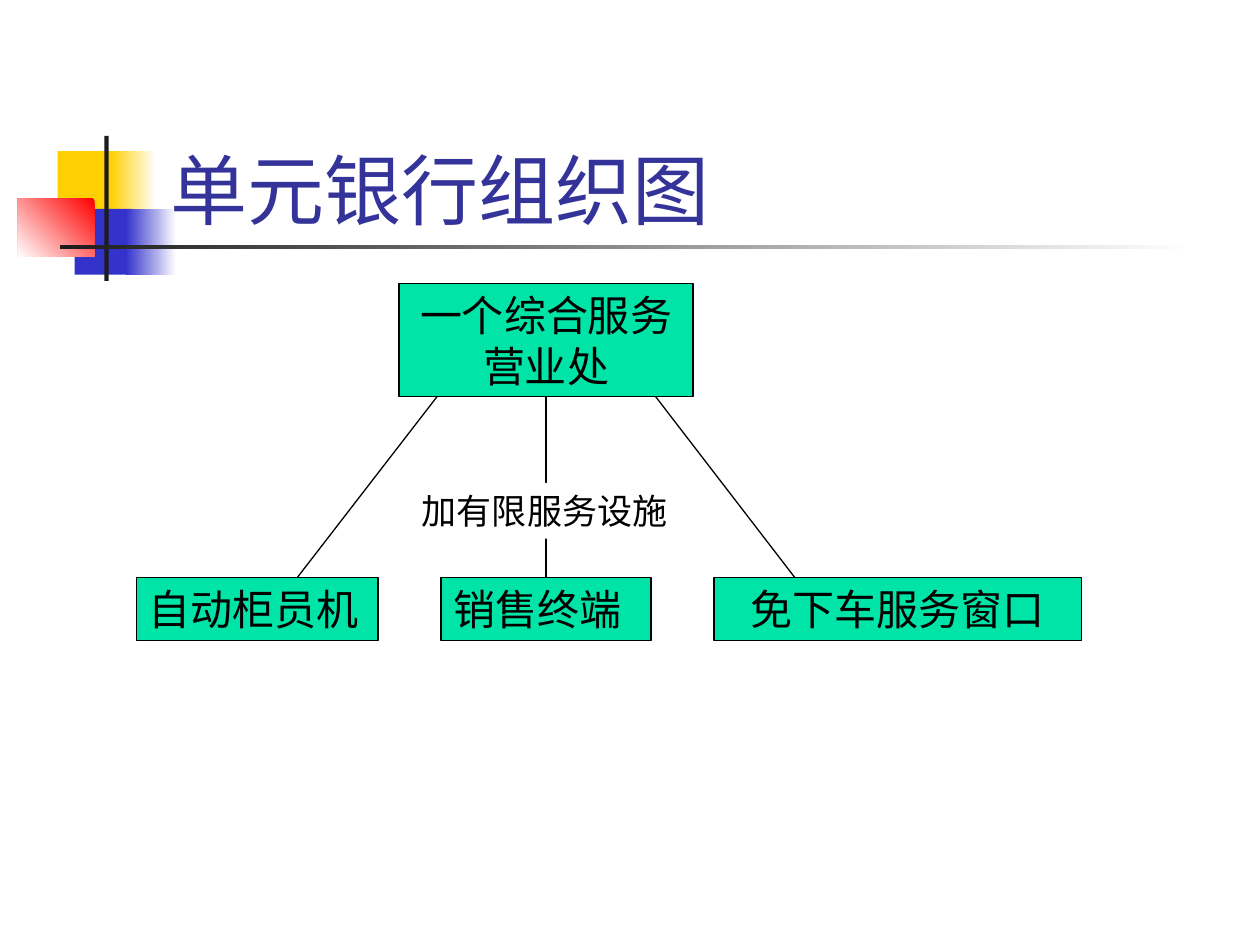
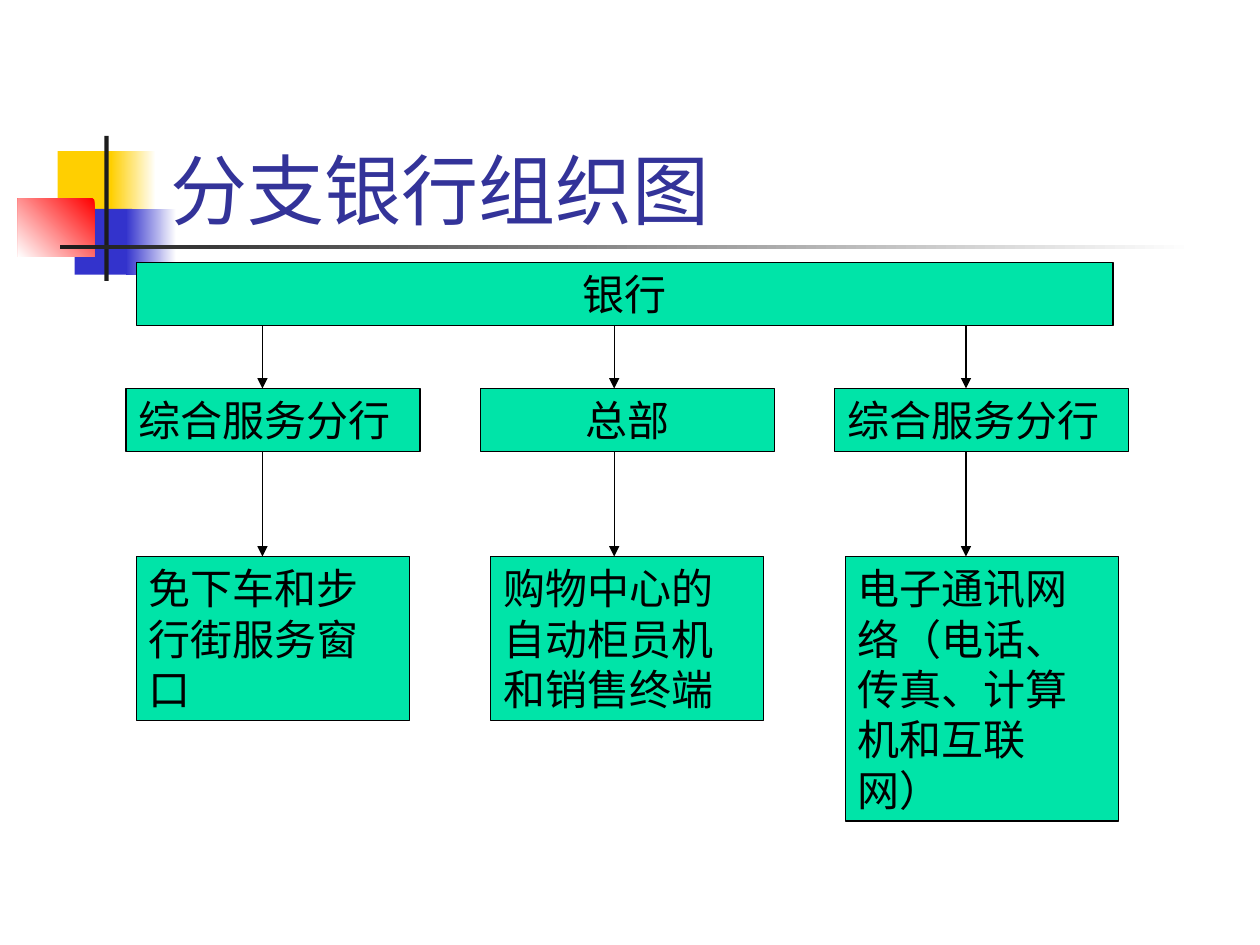
"""Build two slides of bank organisation charts on a grid of 24 units per inch."""
from dataclasses import dataclass
from typing import Optional

from lxml.etree import SubElement
from pptx import Presentation
from pptx.dml.color import RGBColor
from pptx.enum.shapes import MSO_CONNECTOR, MSO_SHAPE
from pptx.enum.text import MSO_ANCHOR, MSO_AUTO_SIZE, PP_ALIGN
from pptx.oxml.ns import qn
from pptx.shapes.autoshape import Shape
from pptx.shapes.connector import Connector
from pptx.slide import Slide
from pptx.text.text import TextFrame
from pptx.util import Inches, Length, Pt

COLORS = {
    "yellow": "FFCF01", "blue": "3333CC", "red": "FF0000", "dark": "1C1C1C",
    "white": "FFFFFF", "title": "333399", "green": "00E4A8", "black": "000000",
}
FONT = "Cabin"
UNITS_PER_INCH = 24
LINE_WIDTH = Pt(0.75)
TOP, BOTTOM = 0, 2
ROW = 12
BRANCH_W, SERVICE_W = 56, 52


@dataclass
class Block:
    x: float
    y: float
    w: float
    h: float
    color: str
    fade_to: Optional[str] = None
    angle: float = 180


@dataclass
class Box:
    text: str
    x: float
    y: float
    w: float
    h: float = ROW
    align: PP_ALIGN = PP_ALIGN.LEFT
    size: int = 24
    fill: str = "green"
    outlined: bool = True


@dataclass
class Link:
    x1: float
    y1: float
    x2: float
    y2: float
    arrow: bool = False


BAND = [
    Block(11, 28.8, 11.5, 12.5, "yellow"),
    Block(21.1, 28.8, 8.6, 12.5, "white", "yellow"),
    Block(14.2, 39.8, 11, 12.5, "blue"),
    Block(24, 39.8, 9.6, 12.5, "white", "blue"),
    Block(3.4, 37.9, 14.6, 11, "red", "white", 225),
    Block(19.9, 25.9, 0.8, 27.6, "dark"),
    Block(11.5, 46.7, 216, 0.8, "white", "dark"),
]


def units(n: float) -> Length:
    """Turn grid units into a length."""
    return Inches(n / UNITS_PER_INCH)


def rgb(name: str) -> RGBColor:
    """Look up a colour by name."""
    return RGBColor.from_string(COLORS[name])


def write(tf: TextFrame, text: str, size: int, color: str, align: PP_ALIGN) -> None:
    """Fill a text frame with one styled paragraph."""
    tf.word_wrap = True
    p = tf.paragraphs[0]
    p.text = text
    p.alignment = align
    p.font.name = FONT
    p.font.size = Pt(size)
    p.font.color.rgb = rgb(color)


def add_rect(s: Slide, x: float, y: float, w: float, h: float) -> Shape:
    """Add a rectangle with no shadow and no outline."""
    sp = s.shapes.add_shape(MSO_SHAPE.RECTANGLE, units(x), units(y), units(w), units(h))
    sp.shadow.inherit = False
    sp.line.fill.background()
    return sp


def add_block(s: Slide, block: Block) -> None:
    """Draw one plain or fading block of the title band."""
    fill = add_rect(s, block.x, block.y, block.w, block.h).fill
    if block.fade_to is None:
        fill.solid()
        fill.fore_color.rgb = rgb(block.color)
        return
    fill.gradient()
    fill.gradient_angle = block.angle
    for stop, color, position in zip(fill.gradient_stops, (block.color, block.fade_to), (0, 1)):
        stop.color.rgb = rgb(color)
        stop.position = position


def add_box(s: Slide, box: Box) -> Shape:
    """Draw one box of the chart."""
    sp = add_rect(s, box.x, box.y, box.w, box.h)
    sp.fill.solid()
    sp.fill.fore_color.rgb = rgb(box.fill)
    if box.outlined:
        sp.line.color.rgb = rgb("black")
        sp.line.width = LINE_WIDTH
    tf = sp.text_frame
    tf.vertical_anchor = MSO_ANCHOR.TOP
    write(tf, box.text, box.size, "black", box.align)
    tf.auto_size = MSO_AUTO_SIZE.SHAPE_TO_FIT_TEXT
    return sp


def add_link(s: Slide, link: Link) -> Connector:
    """Draw a straight line, with an arrowhead when asked for."""
    ends = [units(n) for n in (link.x1, link.y1, link.x2, link.y2)]
    cxn = s.shapes.add_connector(MSO_CONNECTOR.STRAIGHT, *ends)
    cxn.line.color.rgb = rgb("black")
    cxn.line.width = LINE_WIDTH
    if link.arrow:
        SubElement(cxn.line._get_or_add_ln(), qn("a:tailEnd"), type="triangle")
    SubElement(cxn._element.spPr, qn("a:effectLst"))
    return cxn


def add_slide(prs: Presentation, title: str) -> Slide:
    """Add a blank slide with the shared band and title."""
    s = prs.slides.add_slide(prs.slide_layouts[6])
    for block in BAND:
        add_block(s, block)
    tf = s.shapes.add_textbox(units(30.2), units(16), units(204.5), units(30)).text_frame
    tf.vertical_anchor = MSO_ANCHOR.BOTTOM
    write(tf, title, 44, "title", PP_ALIGN.LEFT)
    return s


def unit_bank(prs: Presentation) -> None:
    """Build the chart of a bank with one office."""
    s = add_slide(prs, "单元银行组织图")
    for link in (Link(86, 72, 52, 116), Link(116, 64, 156, 116)):
        add_link(s, link)
    office = add_box(s, Box("一个综合服务营业处", 76, 54, 56, 21.6, PP_ALIGN.CENTER))
    terminal = add_box(s, Box("销售终端", 84, 110, 40))
    add_box(s, Box("自动柜员机", 26, 110, 46))
    add_box(s, Box("免下车服务窗口", 136, 110, 70, align=PP_ALIGN.CENTER))
    trunk = add_link(s, Link(104, 75.6, 104, 110))
    trunk.begin_connect(office, BOTTOM)
    trunk.end_connect(terminal, TOP)
    add_box(s, Box("加有限服务设施", 78, 92, 52, 10.6, size=20, fill="white", outlined=False))


def branch_bank(prs: Presentation) -> None:
    """Build the chart of a bank with branches."""
    s = add_slide(prs, "分支银行组织图")
    bank_y, branch_y, service_y = 50, 74, 106
    columns = [
        ("综合服务分行", PP_ALIGN.LEFT, "免下车和步行街服务窗口", 31.2),
        ("总部", PP_ALIGN.CENTER, "购物中心的自动柜员机和销售终端", 31.2),
        ("综合服务分行", PP_ALIGN.LEFT, "电子通讯网络（电话、传真、计算机和互联网）", 50.4),
    ]
    add_box(s, Box("银行", 26, bank_y, 186, align=PP_ALIGN.CENTER))
    for i, (branch, align, service, height) in enumerate(columns):
        x, arrow_x = 24 + 67.5 * i, 50 + 67 * i
        add_box(s, Box(branch, x, branch_y, BRANCH_W, align=align))
        add_box(s, Box(service, x + 2, service_y, SERVICE_W, height))
        for start, end in ((bank_y, branch_y), (branch_y, service_y)):
            add_link(s, Link(arrow_x, start + ROW, arrow_x, end, arrow=True))


def main() -> None:
    """Build and save the presentation."""
    prs = Presentation()
    prs.slide_width, prs.slide_height = Inches(10), Inches(7.5)
    unit_bank(prs)
    branch_bank(prs)
    prs.save("out.pptx")


if __name__ == "__main__":
    main()
